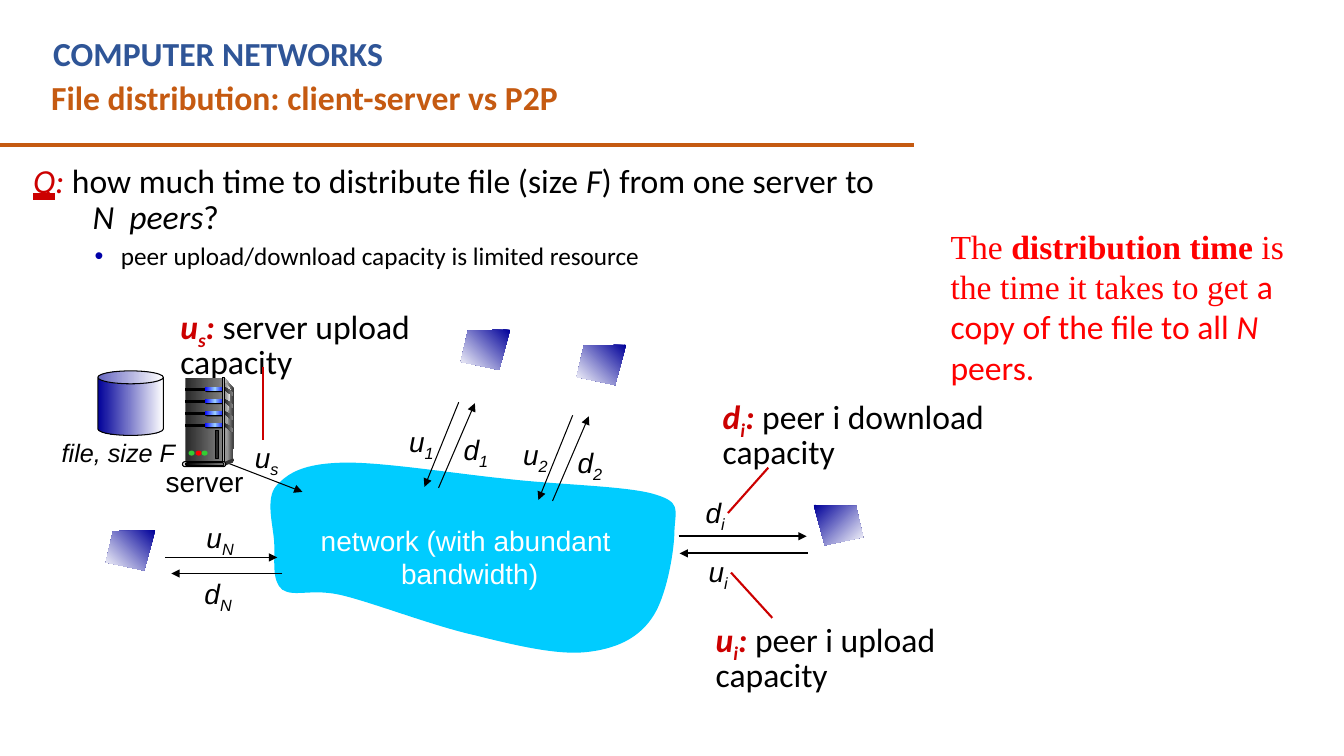
from typing import Any, NamedTuple

from lxml import etree
from pptx import Presentation
from pptx.dml.color import RGBColor
from pptx.enum import shapes as kinds, text as layout
from pptx.oxml.ns import qn
from pptx.util import Inches, Pt

COLORS = {
    "heading": "2F5597", "accent": "C55A11", "term": "CC0000", "red": "FF0000",
    "ink": "000000", "white": "FFFFFF", "bullet": "0000A8", "cloud": "00CCFF",
    "navy": "000099", "blue": "0000FF", "sky": "99CCFF", "green": "33CC33",
    "coal": "292929", "dark": "333333", "grey": "808080", "light": "DDDDDD", "pale": "F8F8F8",
}
SHAPE = kinds.MSO_SHAPE
SHADE, SCREEN = ("coal", "grey"), ("navy", "white")


class Run(NamedTuple):
    text: str
    size: int = 24
    font: str = "Calibri"
    color: str = "ink"
    style: str = ""  # b bold, i italic, u underline, s subscript


class Label(NamedTuple):
    box: tuple[float, ...]
    paragraphs: list[list[Run]]
    centered: bool = False
    wrap: bool = True
    grow: bool = True
    spacing: float = 1.0


class Line(NamedTuple):
    ends: tuple[float, ...]
    color: str = "ink"
    width: float = 0.75
    arrow: bool = True


class Part(NamedTuple):
    kind: Any
    box: tuple[float, ...]
    fill: tuple[str, ...]  # several colours make a gradient
    outlined: bool = False
    adjust: float = 0.5


def rgb(name: str) -> RGBColor:
    return RGBColor.from_string(COLORS[name])


def paint(shape: Any, fill: tuple[str, ...], outlined: bool = False, angle: int = 0) -> None:
    shape.shadow.inherit = False
    if len(fill) > 1:
        shape.fill.gradient()
        shape.fill.gradient_angle = -angle % 360
        stops = shape._element.spPr.find(".//" + qn("a:gsLst"))
        stops.clear()
        for i, name in enumerate(fill):
            stop = etree.SubElement(stops, qn("a:gs"), pos=str(100000 * i // (len(fill) - 1)))
            etree.SubElement(stop, qn("a:srgbClr"), val=COLORS[name])
    else:
        shape.fill.solid()
        shape.fill.fore_color.rgb = rgb(fill[0])
    if outlined:
        shape.line.color.rgb = rgb("ink")
        shape.line.width = Pt(0.75)
    else:
        shape.line.fill.background()


def draw_part(canvas: Any, part: Part) -> None:
    shape = canvas.add_shape(part.kind, *map(Inches, part.box))
    if part.kind in (SHAPE.ROUNDED_RECTANGLE, SHAPE.CAN):
        shape.adjustments[0] = part.adjust
    paint(shape, part.fill, part.outlined)


def draw_outline(canvas: Any, points: list, fill: tuple[str, ...], angle: int = 0, curves: int = 0) -> None:
    """Join the points; the first `curves` triples after the start are Bezier curves."""
    corners = [(Inches(x), Inches(y)) for x, y in points]
    builder = canvas.build_freeform(*corners[0])
    builder.add_line_segments(corners[1:], close=True)
    shape = builder.convert_to_shape()
    sides = shape._element.findall(".//" + qn("a:lnTo"))
    for first in range(0, 3 * curves, 3):
        curve = etree.Element(qn("a:cubicBezTo"))
        sides[first].addprevious(curve)
        for side in sides[first:first + 3]:
            curve.append(side[0])
            side.getparent().remove(side)
    paint(shape, fill, angle=angle)


def draw_line(canvas: Any, line: Line) -> None:
    connector = canvas.add_connector(kinds.MSO_CONNECTOR.STRAIGHT, *map(Inches, line.ends))
    connector.line.color.rgb = rgb(line.color)
    connector.line.width = Pt(line.width)
    properties = connector._element.spPr
    if line.arrow:
        etree.SubElement(properties.find(qn("a:ln")), qn("a:tailEnd"), type="triangle")
    etree.SubElement(properties, qn("a:effectLst"))


def draw_label(canvas: Any, label: Label) -> Any:
    frame = canvas.add_textbox(*map(Inches, label.box)).text_frame
    frame.word_wrap = label.wrap
    if label.grow:
        frame.auto_size = layout.MSO_AUTO_SIZE.SHAPE_TO_FIT_TEXT
    for i, runs in enumerate(label.paragraphs):
        paragraph = frame.add_paragraph() if i else frame.paragraphs[0]
        paragraph.alignment = layout.PP_ALIGN.CENTER if label.centered else None
        paragraph.line_spacing = label.spacing
        for item in runs:
            run = paragraph.add_run()
            run.text, font = item.text, run.font
            font.size, font.name, font.color.rgb = Pt(item.size), item.font, rgb(item.color)
            font.bold, font.italic = "b" in item.style, "i" in item.style
            if "u" in item.style:
                font.underline = layout.MSO_UNDERLINE.HEAVY_LINE
            if "s" in item.style:
                run._r.get_or_add_rPr().set("baseline", "-25000")
    return frame


def rate(letter: str, index: str, x: float, y: float) -> Label:
    runs = [Run(letter, 20, "Arial", style="i"), Run(index, 20, "Arial", style="is")]
    return Label((x, y, 0.67, 0.44), [runs])


def definition(letter: str, index: str, meaning: str, box: tuple[float, ...]) -> Label:
    term = [Run(t, color="term", style=s) for t, s in ((letter, "bi"), (index, "bis"), (":", "bi"))]
    return Label(box, [[*term, Run(meaning)]], spacing=0.85)


def draw_server(canvas: Any) -> None:
    bay_tops = [3.84 + 0.12 * i for i in range(4)]
    bar, pill, dot = SHAPE.RECTANGLE, SHAPE.ROUNDED_RECTANGLE, SHAPE.OVAL
    # Cabinet
    draw_outline(canvas, [(2.23, 3.75), (2.32, 3.86), (2.31, 4.55), (2.21, 4.59)], ("light", "dark"))
    draw_part(canvas, Part(bar, (1.84, 3.75, 0.37, 0.84), SHADE))
    draw_outline(canvas, [(2.24, 3.8), (2.24, 3.8), (2.25, 3.81), (2.29, 3.87), (2.23, 4.18),
                          (2.25, 4.58), (2.24, 4.57)], ("grey", "pale"), curves=2)
    # Drive bays
    for y in bay_tops:
        draw_part(canvas, Part(bar, (1.84, y + 0.01, 0.21, 0.02), ("ink",), True))
        draw_part(canvas, Part(pill, (2.03, y, 0.21, 0.05), ("ink",)))
        draw_part(canvas, Part(pill, (2.03, y, 0.2, 0.04), ("blue", "sky", "blue")))
    draw_part(canvas, Part(bar, (2.21, 3.75, 0.02, 0.84), ("dark", "light", "dark"), True))
    for y in bay_tops:
        draw_outline(canvas, [(2.23, y), (2.31, y + 0.05), (2.31, y + 0.09), (2.23, y + 0.03)], SHADE)
    # Base, lights and slot
    draw_part(canvas, Part(dot, (2.3, 4.55, 0.02, 0.03), ("dark",)))
    draw_outline(canvas, [(2.23, 4.58), (2.23, 4.62), (2.31, 4.59), (2.31, 4.55)], ("dark",))
    draw_part(canvas, Part(pill, (1.81, 4.58, 0.43, 0.05), ("light",), True))
    draw_part(canvas, Part(pill, (1.84, 4.59, 0.38, 0.03), ("ink", "grey"), True))
    for x, color in ((1.87, "green"), (1.94, "red"), (2, "green")):
        draw_part(canvas, Part(dot, (x, 4.47, 0.06, 0.05), (color,)))
    draw_part(canvas, Part(bar, (2.14, 4.27, 0.03, 0.28), ("coal",), True))


def draw_question(canvas: Any) -> None:
    question = [Run("Q", color="term", style="iu"), Run(":", color="term", style="i"),
                Run(" how much time to distribute file (size "), Run("F", style="i"),
                Run(") from one server to  "), Run("N  peers", style="i"), Run("?")]
    limit = [Run("peer upload/download capacity is limited resource", 18)]
    frame = draw_label(canvas, Label((0.16, 1.58, 8.91, 1.42), [question, limit], grow=False, spacing=0.9))
    frame.paragraphs[1].level, frame.paragraphs[1].space_before = 1, Pt(5)
    for paragraph, margin, indent in zip(frame.paragraphs, (0.66, 0.94), (-0.59, -0.26)):
        properties = paragraph._p.get_or_add_pPr()
        properties.set("marL", str(Inches(margin)))
        properties.set("indent", str(Inches(indent)))
    color = etree.SubElement(properties, qn("a:buClr"))
    etree.SubElement(color, qn("a:srgbClr"), val=COLORS["bullet"])
    etree.SubElement(properties, qn("a:buFont"), typeface="Arial")
    etree.SubElement(properties, qn("a:buChar"), char="•")


def main() -> None:
    deck = Presentation()
    deck.slide_width, deck.slide_height = Inches(13.33), Inches(7.5)
    canvas = deck.slides.add_slide(deck.slide_layouts[6]).shapes
    # Heading and question
    draw_line(canvas, Line((-0.01, 1.44, 9.07, 1.44), "accent", 3, False))
    title, topic = "COMPUTER NETWORKS", "File distribution: client-server vs P2P"
    draw_label(canvas, Label((0.43, 0.28, 8.2, 0.5), [[Run(title, color="heading", style="b")]]))
    draw_label(canvas, Label((0.41, 0.71, 8.75, 0.5), [[Run(topic, color="accent", style="b")]]))
    draw_question(canvas)
    # Network cloud
    draw_outline(canvas, [
        (3.4, 4.59), (3.01, 4.6), (2.86, 4.69), (2.74, 4.82), (2.63, 4.95), (2.71, 5.21), (2.72, 5.38),
        (2.73, 5.55), (2.69, 5.76), (2.8, 5.85), (2.92, 5.93), (3.1, 5.83), (3.41, 5.91),
        (3.73, 5.99), (4.3, 6.21), (4.7, 6.3), (5.1, 6.4), (5.52, 6.5), (5.81, 6.47),
        (6.1, 6.44), (6.32, 6.34), (6.46, 6.14), (6.61, 5.94), (6.69, 5.46), (6.69, 5.26),
        (6.7, 5.05), (6.76, 4.98), (6.48, 4.9), (6.2, 4.82), (5.53, 4.81), (5.02, 4.75),
        (4.52, 4.7), (3.78, 4.58), (3.4, 4.59)], ("cloud",), curves=11)
    # Labels and file store
    network = [[Run(t, 20, "Arial", "white")] for t in ("network (with abundant", " bandwidth)")]
    for label in (
        rate("u", "s", 2.43, 4.32), rate("u", "N", 1.95, 5.11), rate("d", "N", 1.93, 5.67),
        rate("d", "i", 6.9, 4.87), rate("u", "i", 6.93, 5.45),
        Label((1.39, 4.56, 1.28, 0.44), [[Run("server", 20, "Arial")]], True),
        Label((3.07, 5.14, 3.1, 0.77), network, True, False),
        Label((0.41, 4.29, 1.53, 0.4), [[Run("file, size F", 18, "Arial", style="i")]], True),
        definition("u", "s", " server upload capacity", (1.69, 3.01, 2.72, 0.79)),
        definition("u", "i", " peer i upload capacity", (7, 6.11, 2.83, 0.79)),
        definition("d", "i", " peer i download capacity", (7.07, 3.9, 3, 0.79)),
    ):
        draw_label(canvas, label)
    draw_part(canvas, Part(SHAPE.CAN, (0.97, 3.68, 0.65, 0.64), SCREEN, True, 0.2))
    # Links of peers 1 and 2
    for index, x, y in (("2", 5.09, 4.29), ("1", 3.96, 4.16)):
        link = canvas.add_group_shape().shapes
        draw_label(link, rate("u", index, x, y))
        draw_line(link, Line((x + 0.59, y - 0.17, x + 0.25, y + 0.67)))
        draw_line(link, Line((x + 0.39, y + 0.68, x + 0.75, y - 0.16)))
        draw_label(link, rate("d", index, x + 0.54, y + 0.08))
    # Other links, then pointers from definitions
    for ends, width in (((2.12, 4.54, 3, 4.88), 0.75), ((1.64, 5.53, 2.75, 5.53), 0.75),
                        ((2.8, 5.69, 1.7, 5.69), 0.75), ((6.73, 5.32, 8, 5.32), 1.5),
                        ((8.01, 5.49, 6.74, 5.49), 1.5)):
        draw_line(canvas, Line(ends, width=width))
    for ends in ((2.61, 3.64, 2.61, 4.37), (7.62, 4.64, 7.22, 5.09), (7.66, 6.13, 7.25, 5.68)):
        draw_line(canvas, Line(ends, "term", 1.5, False))
    # Server and peers
    draw_server(canvas.add_group_shape().shapes)
    screen = [(0, 0), (0.42, 0.01), (0.49, 0.32), (0.11, 0.4)]
    for x, y, mirrored in ((1.05, 5.26, True), (4.57, 3.27, True), (5.72, 3.42, True), (8.07, 5.01, False)):
        corners = [(x + (0.49 - dx if mirrored else dx), y + dy) for dx, dy in screen]
        draw_outline(canvas, corners, SCREEN, 135 if mirrored else 45)
    # Distribution time
    serif = "Times New Roman"
    draw_label(canvas, Label((9.33, 2.19, 3.85, 1.72), [[
        Run("The ", 24, serif, "red"), Run("distribution time ", 24, serif, "red", "b"),
        Run("is the time it takes to get ", 24, serif, "red"), Run("a copy of the file to all ", color="red"),
        Run("N ", color="red", style="i"), Run("peers.", color="red")]]))
    deck.save("out.pptx")


if __name__ == "__main__":
    main()
